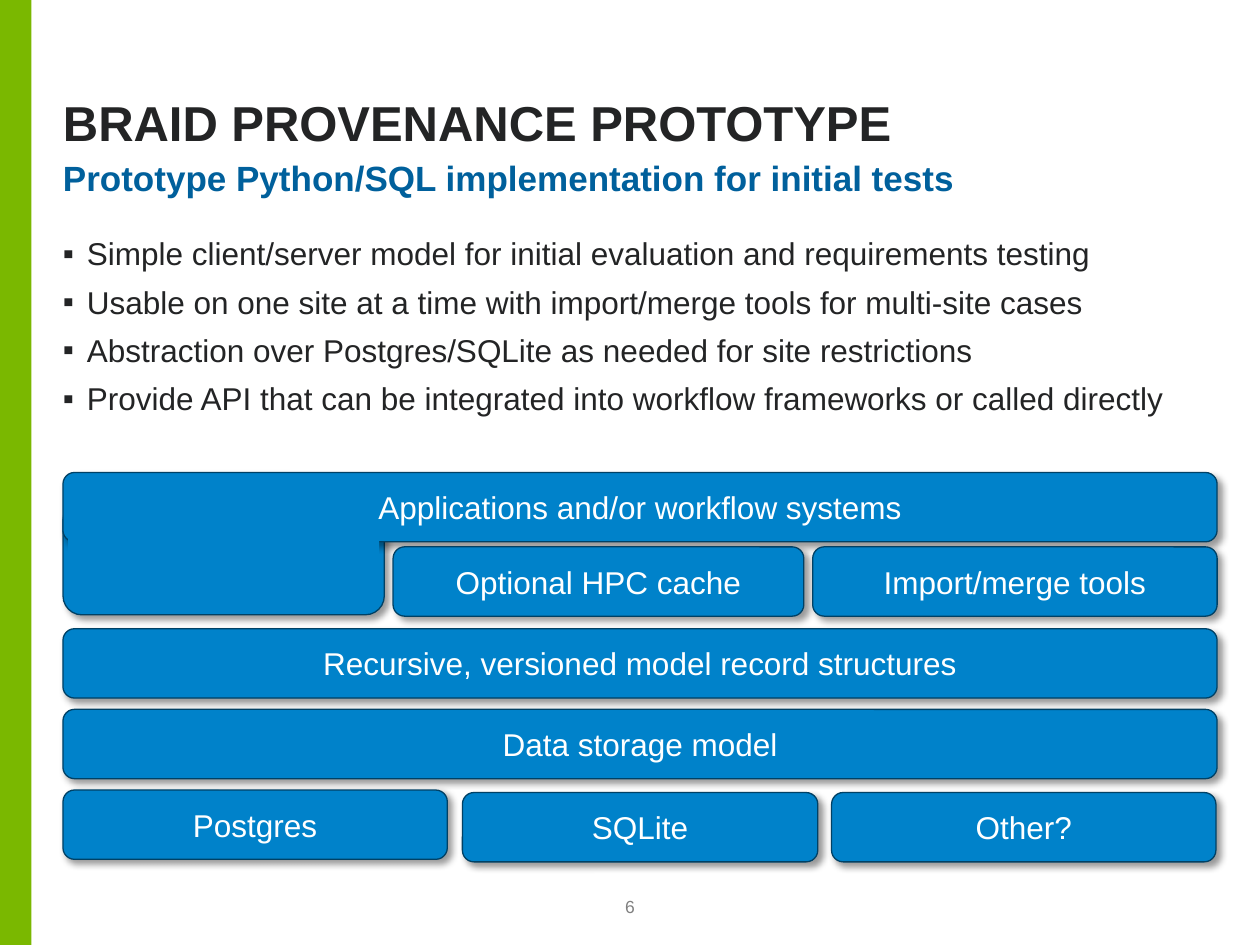
"""Build the provenance prototype slide with its layered stack of blocks."""
from lxml.etree import SubElement
from pptx import Presentation
from pptx.dml.color import RGBColor
from pptx.enum.shapes import MSO_SHAPE
from pptx.enum.text import MSO_ANCHOR, PP_ALIGN
from pptx.oxml.ns import qn
from pptx.util import Emu, Pt

SCALE = 9144
LEFT, WIDTH, TALL = 50, 916, 55
BLUE, EDGE, WHITE, INK = "0082CA", "004165", "FFFFFF", "232425"
POINTS = [
    "Simple client/server model for initial evaluation and requirements testing",
    "Usable on one site at a time with import/merge tools for multi-site cases",
    "Abstraction over Postgres/SQLite as needed for site restrictions",
    "Provide API that can be integrated into workflow frameworks or called directly",
]
LAYERS = [
    ("Applications and/or workflow systems", LEFT, 375, WIDTH),
    ("Recursive, versioned model record structures", LEFT, 499, WIDTH),
    ("Data storage model", LEFT, 563, WIDTH),
    ("Optional HPC cache", 312, 434, 326),
    ("Postgres", LEFT, 627, 305),
]
FRONT = [
    ("Import/merge tools", 645, 434, 321),
    ("SQLite", 367, 629, 282),
    ("Other?", 660, 629, 305),
]


def px(num):
    """Turn px into EMU."""
    return Emu(num * SCALE)


def paint(code):
    """Turn a hex string into a colour."""
    return RGBColor.from_string(code)


def style(para, size, color, bold=False):
    """Format the runs of a paragraph."""
    for run in para.runs:
        font = run.font
        font.name, font.size, font.bold = "Arial", Pt(size), bold
        font.color.rgb = paint(color)


def add_text(slide, box, lines, size, color, bold=False, anchor=MSO_ANCHOR.TOP):
    """Add a wrapped text box without margins and return its frame."""
    frame = slide.shapes.add_textbox(*map(px, box)).text_frame
    frame.word_wrap = True
    frame.vertical_anchor = anchor
    frame.margin_left = frame.margin_right = 0
    frame.margin_top = frame.margin_bottom = 0
    frame.text = "\n".join(lines)
    for para in frame.paragraphs:
        style(para, size, color, bold)
    return frame


def add_list(slide, box, lines):
    """Add a bulleted list."""
    for para in add_text(slide, box, lines, 18, INK).paragraphs:
        para.space_before = Pt(6)
        props = para._p.get_or_add_pPr()
        props.set("marL", str(px(19)))
        props.set("indent", str(-px(19)))
        SubElement(props, qn("a:buFont"), typeface="Arial")
        SubElement(props, qn("a:buChar"), char="▪")


def add_plain(slide, box, color, kind=MSO_SHAPE.RECTANGLE):
    """Add a filled shape with no line or shadow."""
    shape = slide.shapes.add_shape(kind, *map(px, box))
    shape.shadow.inherit = False
    shape.fill.solid()
    shape.fill.fore_color.rgb = paint(color)
    shape.line.fill.background()
    return shape


def cast_shade(shape):
    """Give a shape a soft shadow to the lower right."""
    effects = shape._element.spPr.find(qn("a:effectLst"))
    shade = SubElement(effects, qn("a:outerShdw"), blurRad=str(Pt(4)),
                       dist=str(Pt(3)), dir="2700000", algn="tl", rotWithShape="0")
    black = SubElement(shade, qn("a:srgbClr"), val="000000")
    SubElement(black, qn("a:alpha"), val="40000")


def add_block(slide, label, left, top, width, height=TALL):
    """Add a rounded block of the stack with a centred label."""
    shape = add_plain(slide, (left, top, width, height), BLUE,
                      MSO_SHAPE.ROUNDED_RECTANGLE)
    shape.line.color.rgb = paint(EDGE)
    shape.line.width = Pt(0.75)
    cast_shade(shape)
    if label:
        frame = shape.text_frame
        frame.text = label
        frame.vertical_anchor = MSO_ANCHOR.MIDDLE
        para = frame.paragraphs[0]
        para.alignment = PP_ALIGN.CENTER
        style(para, 18, WHITE)


def main():
    """Build and save the slide."""
    deck = Presentation()
    deck.slide_width, deck.slide_height = px(1000), px(750)
    slide = deck.slides.add_slide(deck.slide_layouts[6])
    add_plain(slide, (0, 0, 25, 750), "7AB800")
    add_block(slide, "", LEFT, 398, 255, 90)
    title = add_text(slide, (LEFT, 30, WIDTH, 91), ["BRAID PROVENANCE PROTOTYPE"],
                     28, INK, True, MSO_ANCHOR.BOTTOM)
    title.paragraphs[0].line_spacing = 0.95
    add_list(slide, (LEFT, 186, WIDTH, 180), POINTS)
    lead = add_text(slide, (LEFT, 128, WIDTH, 55),
                    ["Prototype Python/SQL implementation for initial tests"],
                    20, "00609C", True)
    lead.paragraphs[0].line_spacing = 0.9
    page = add_text(slide, (475, 708, 50, 20), ["6"], 10, "808080",
                    anchor=MSO_ANCHOR.BOTTOM)
    page.paragraphs[0].alignment = PP_ALIGN.CENTER
    for layer in LAYERS:
        add_block(slide, *layer)
    add_plain(slide, (54, 419, 247, 40), BLUE)
    for layer in FRONT:
        add_block(slide, *layer)
    deck.save("out.pptx")


if __name__ == "__main__":
    main()
